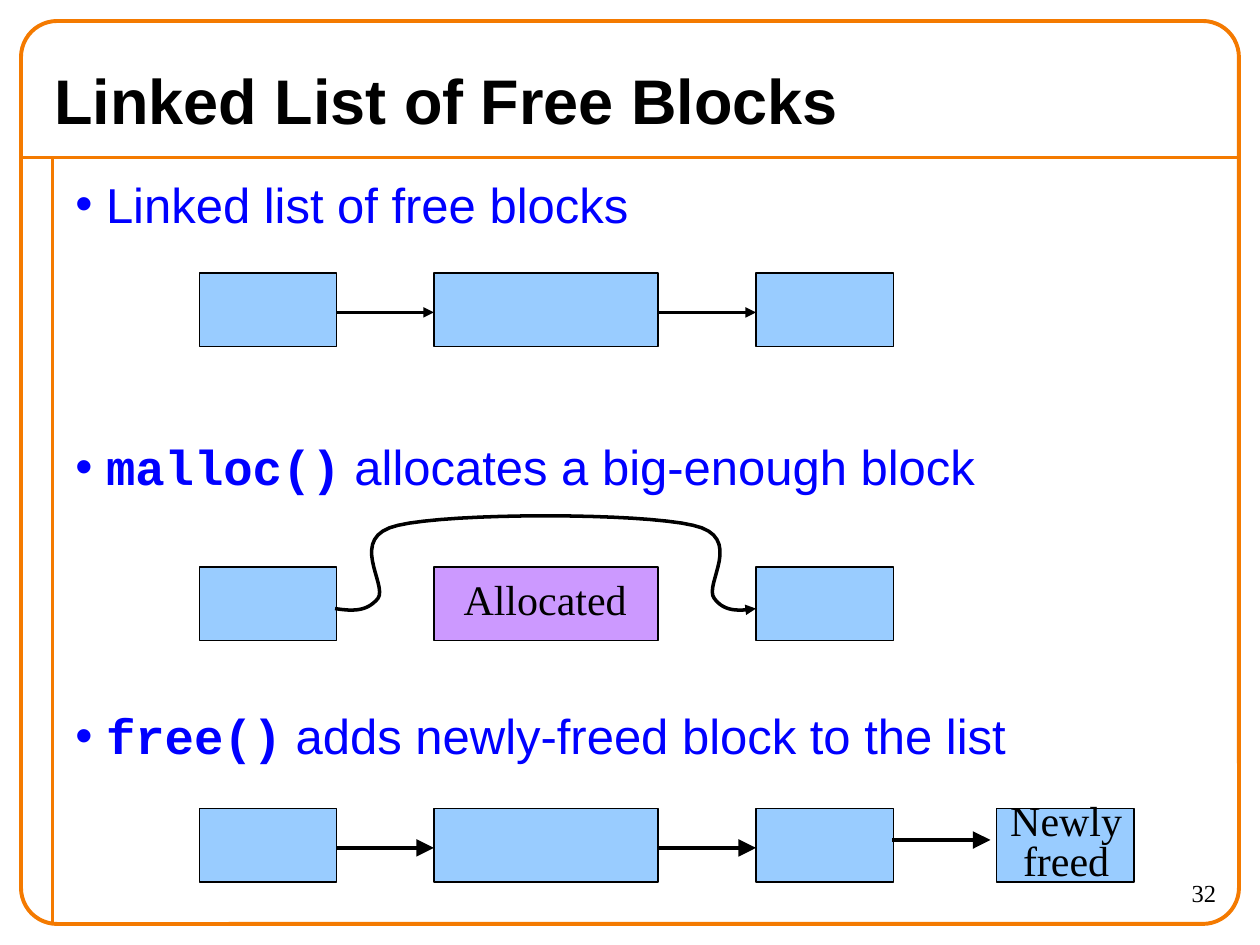
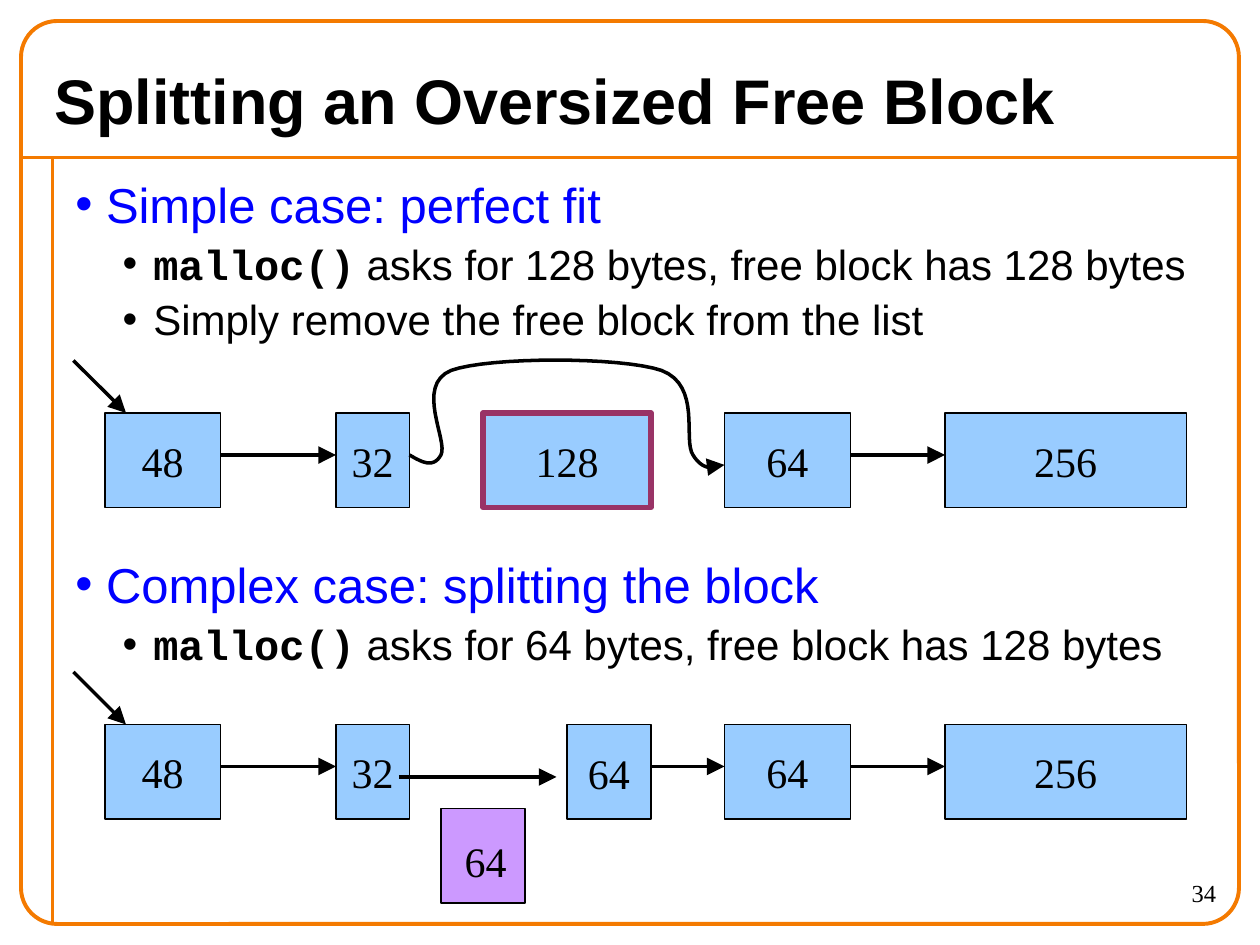
from dataclasses import dataclass

from lxml.etree import SubElement
from pptx import Presentation
from pptx.dml.color import RGBColor as Color
from pptx.enum.shapes import MSO_CONNECTOR as Connector, MSO_SHAPE as Shape
from pptx.enum.text import MSO_ANCHOR as Anchor, PP_ALIGN as Align
from pptx.oxml.ns import qn
from pptx.util import Pt


@dataclass(frozen=True)
class Theme:
    frame: str = "F47A00"
    ink: str = "000000"
    topic: str = "0000FF"
    free: str = "99CCFF"
    allocated: str = "CC99FF"
    chosen: str = "993366"
    sans: str = "Arial"
    serif: str = "Times New Roman"
    mono: str = "Courier New"
    title_size: int = 36
    topic_size: int = 28
    detail_size: int = 24
    label_size: int = 24
    number_size: int = 14
    frame_line: float = 2.25
    block_line: float = 0.75
    arrow_line: float = 2
    topic_gap: int = 120
    detail_gap: int = 3


class SlideBuilder:
    def __init__(self, deck, theme):
        self.deck = deck
        self.theme = theme
        self.page = None

    def start(self, title, number):
        theme = self.theme
        self.page = self.deck.slides.add_slide(self.deck.slide_layouts[6])
        self.line((12, 90), (708, 90), theme.frame, theme.frame_line)
        self.line((30, 90), (30, 528), theme.frame, theme.frame_line)
        border = self.shape(Shape.ROUNDED_RECTANGLE, (12, 12, 696, 516),
                            None, theme.frame, theme.frame_line)
        border.adjustments[0] = 0.04
        self.text((630, 498, 72, 30), str(number), theme.number_size, align=Align.RIGHT)
        heading = self.text((24, 30, 672, 54), title, theme.title_size, theme.sans)
        heading.vertical_anchor = Anchor.MIDDLE
        heading.paragraphs[0].runs[0].font.bold = True

    def style(self, span, size, name, color):
        span.font.size = Pt(size)
        span.font.name = name
        span.font.color.rgb = Color.from_string(color)

    def fill_text(self, frame, text, size, name, align):
        frame.text = text
        for para in frame.paragraphs:
            para.alignment = align
            for span in para.runs:
                self.style(span, size, name, self.theme.ink)

    def text(self, place, text, size, name=None, align=Align.LEFT, wrap=True):
        frame = self.page.shapes.add_textbox(*map(Pt, place)).text_frame
        frame.word_wrap = wrap
        self.fill_text(frame, text, size, name or self.theme.serif, align)
        return frame

    def label(self, place, text, spacing=1.0):
        frame = self.text(place, text, self.theme.label_size, align=Align.CENTER, wrap=False)
        frame.margin_left = frame.margin_right = 0
        for para in frame.paragraphs:
            para.line_spacing = spacing

    def body(self, items, tight=None):
        frame = self.page.shapes.add_textbox(Pt(36), Pt(96), Pt(666), Pt(432)).text_frame
        frame.word_wrap = True
        for index, (level, code, words) in enumerate(items):
            para = frame.add_paragraph() if index else frame.paragraphs[0]
            self.bullet(para, level, code, words)
            if index:
                para.space_before = Pt((self.theme.topic_gap, self.theme.detail_gap)[level])
            if index == tight:
                para.line_spacing = 0.9

    def bullet(self, para, level, code, words):
        theme = self.theme
        size, color, margin = ((theme.topic_size, theme.topic, 17.5),
                               (theme.detail_size, theme.ink, 44.5))[level]
        properties = para._p.get_or_add_pPr()
        properties.set("marL", str(Pt(margin)))
        properties.set("indent", str(-Pt(17.5)))
        bullet_color = SubElement(properties, qn("a:buClr"))
        SubElement(bullet_color, qn("a:srgbClr"), val=color)
        SubElement(properties, qn("a:buFont"), typeface=theme.sans)
        SubElement(properties, qn("a:buChar"), char="•")
        for text, name in ((code, theme.mono), (words, theme.sans)):
            if text:
                span = para.add_run()
                span.text = text
                self.style(span, size, name, color)
                span.font.bold = name == theme.mono

    def shape(self, kind, place, fill, color, width):
        box = self.page.shapes.add_shape(kind, *map(Pt, place))
        box.shadow.inherit = False
        if fill:
            box.fill.solid()
            box.fill.fore_color.rgb = Color.from_string(fill)
        else:
            box.fill.background()
        self.stroke(box, color, width)
        return box

    def block(self, place, text="", fill=None, color=None, width=None):
        theme = self.theme
        box = self.shape(Shape.RECTANGLE, place, fill or theme.free,
                         color or theme.ink, width or theme.block_line)
        if text:
            frame = box.text_frame
            frame.word_wrap = False
            frame.vertical_anchor = Anchor.MIDDLE
            self.fill_text(frame, text, theme.label_size, theme.serif, Align.CENTER)

    def stroke(self, item, color, width, head=None):
        item.line.color.rgb = Color.from_string(color)
        item.line.width = Pt(width)
        if head:
            SubElement(item.line._get_or_add_ln(), qn("a:tailEnd"),
                       type="triangle", w=head, len=head)

    def line(self, start, end, color, width, head=None):
        line = self.page.shapes.add_connector(Connector.STRAIGHT, *map(Pt, (*start, *end)))
        self.stroke(line, color, width, head)
        SubElement(line._element.spPr, qn("a:effectLst"))

    def arrow(self, start, end, head="lg"):
        self.line(start, end, self.theme.ink, self.theme.arrow_line, head)

    def curve(self, start, segments, head="lg", steps=16):
        points = []
        origin = start
        for first, second, end in segments:
            for step in range(1, steps + 1):
                t = step / steps
                weights = ((1 - t) ** 3, 3 * t * (1 - t) ** 2, 3 * t * t * (1 - t), t ** 3)
                corners = (origin, first, second, end)
                points.append(tuple(
                    Pt(sum(weight * corner[axis] for weight, corner in zip(weights, corners)))
                    for axis in (0, 1)))
            origin = end
        builder = self.page.shapes.build_freeform(*map(Pt, start))
        builder.add_line_segments(points, close=False)
        path = builder.convert_to_shape()
        path.shadow.inherit = False
        path.fill.background()
        self.stroke(path, self.theme.ink, self.theme.arrow_line, head)


def free_list_slide(slide):
    theme = slide.theme
    slide.start("Linked List of Free Blocks", 32)
    slide.body([
        (0, "", "Linked list of free blocks"),
        (0, "malloc()", " allocates a big-enough block"),
        (0, "free()", " adds newly-freed block to the list"),
    ], tight=1)
    columns = ((114, 78.5), (248, 128), (432, 78.5))
    height = 42
    for top, middle_fill, head in ((156, theme.free, "med"),
                                   (324, theme.allocated, None),
                                   (462, theme.free, "lg")):
        for (left, width), fill in zip(columns, (theme.free, middle_fill, theme.free)):
            slide.block((left, top, width, height), fill=fill)
        if head:
            for (left, width), (target, _) in zip(columns, columns[1:]):
                slide.arrow((left + width, top + 22.5), (target, top + 22.5), head)
    slide.label((258, 324, 107, 36), "Allocated")
    slide.curve((191.5, 347.8), [
        ((200.9, 349.2), (209.5, 349.9), (216, 342)),
        ((221.8, 334.1), (198, 306.7), (227.5, 300.2)),
        ((257.8, 293), (365.8, 293), (396, 300.2)),
        ((426.2, 306.7), (401.8, 334.1), (408.2, 342)),
        ((414, 349.9), (422.6, 349.2), (432, 347.8)),
    ], head="med")
    slide.block((569.5, 462, 78.5, height))
    slide.arrow((510, 480), (566, 480))
    slide.label((570, 456, 78.5, 53), "Newly\nfreed", spacing=0.8)


def splitting_slide(slide):
    theme = slide.theme
    slide.start("Splitting an Oversized Free Block", 34)
    slide.body([
        (0, "", "Simple case: perfect fit"),
        (1, "malloc()", " asks for 128 bytes, free block has 128 bytes"),
        (1, "", "Simply remove the free block from the list"),
        (0, "", "Complex case: splitting the block"),
        (1, "malloc()", " asks for 64 bytes, free block has 128 bytes"),
    ])
    height = 54
    simple_top, complex_top = 236, 414
    for top in (simple_top, complex_top):
        for left, width, size in ((60, 66, "48"), (192, 42, "32"),
                                  (414, 72, "64"), (540, 138, "256")):
            slide.block((left, top, width, height), size)
        for start, end in ((126, 192), (486, 540)):
            slide.arrow((start, top + 24), (end, top + 24))
        slide.arrow((42, top - 30), (72, top))
    slide.block((276, simple_top, 96, height), "128", color=theme.chosen, width=3)
    slide.curve((234, 260), [
        ((241.2, 264.2), (247.7, 267.8), (252, 260)),
        ((256.3, 252), (236.9, 220.3), (257.8, 211.7)),
        ((279.4, 203.8), (355, 203.8), (378, 211.7)),
        ((401, 220.3), (390.2, 251.3), (396, 260)),
        ((401.8, 269.3), (408.2, 267.8), (414, 265.7)),
    ])
    slide.block((324, complex_top, 48, height))
    slide.arrow((228, 444), (318, 444))
    slide.arrow((372, 438), (414, 438))
    slide.label((329, 423.5, 38, 36), "64")
    slide.block((252, 462, 48, height), fill=theme.allocated)
    slide.label((258.5, 474, 38, 36), "64")


def main():
    deck = Presentation()
    deck.slide_width, deck.slide_height = Pt(720), Pt(540)
    slide = SlideBuilder(deck, Theme())
    free_list_slide(slide)
    splitting_slide(slide)
    deck.save("out.pptx")


if __name__ == "__main__":
    main()
